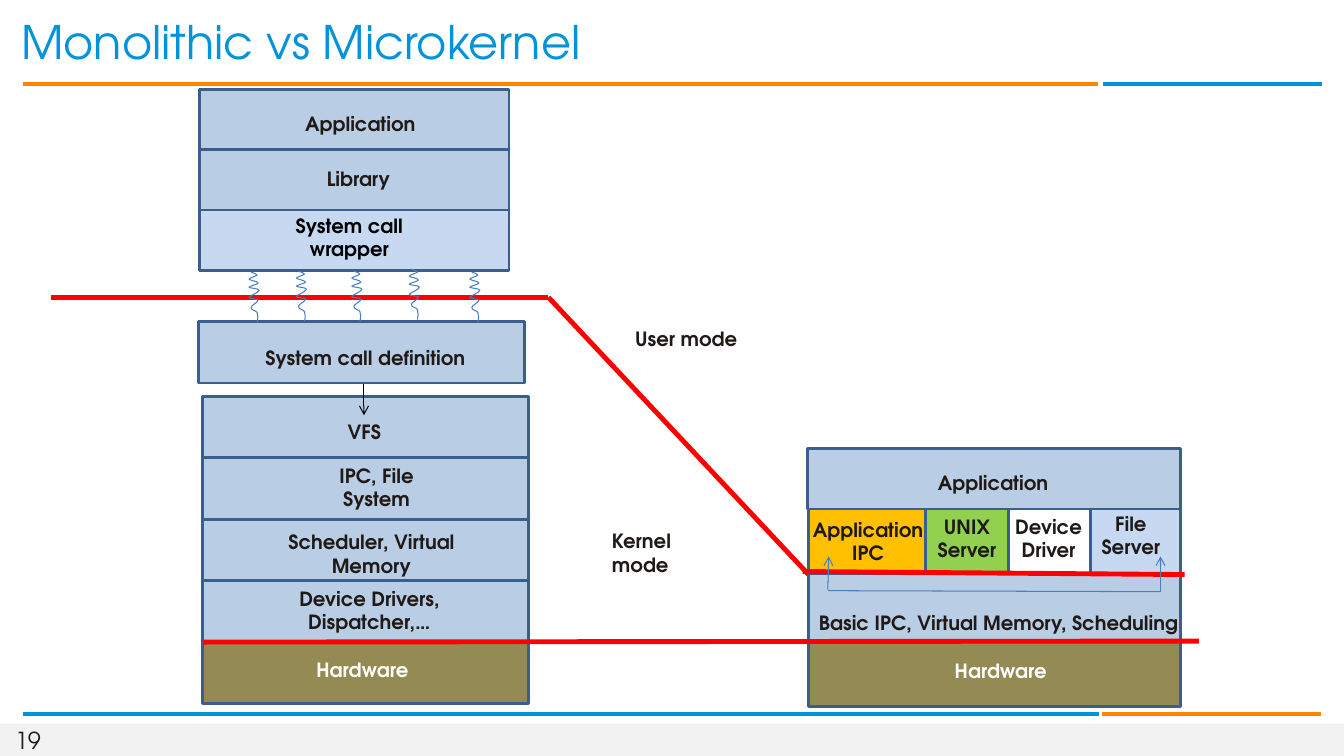
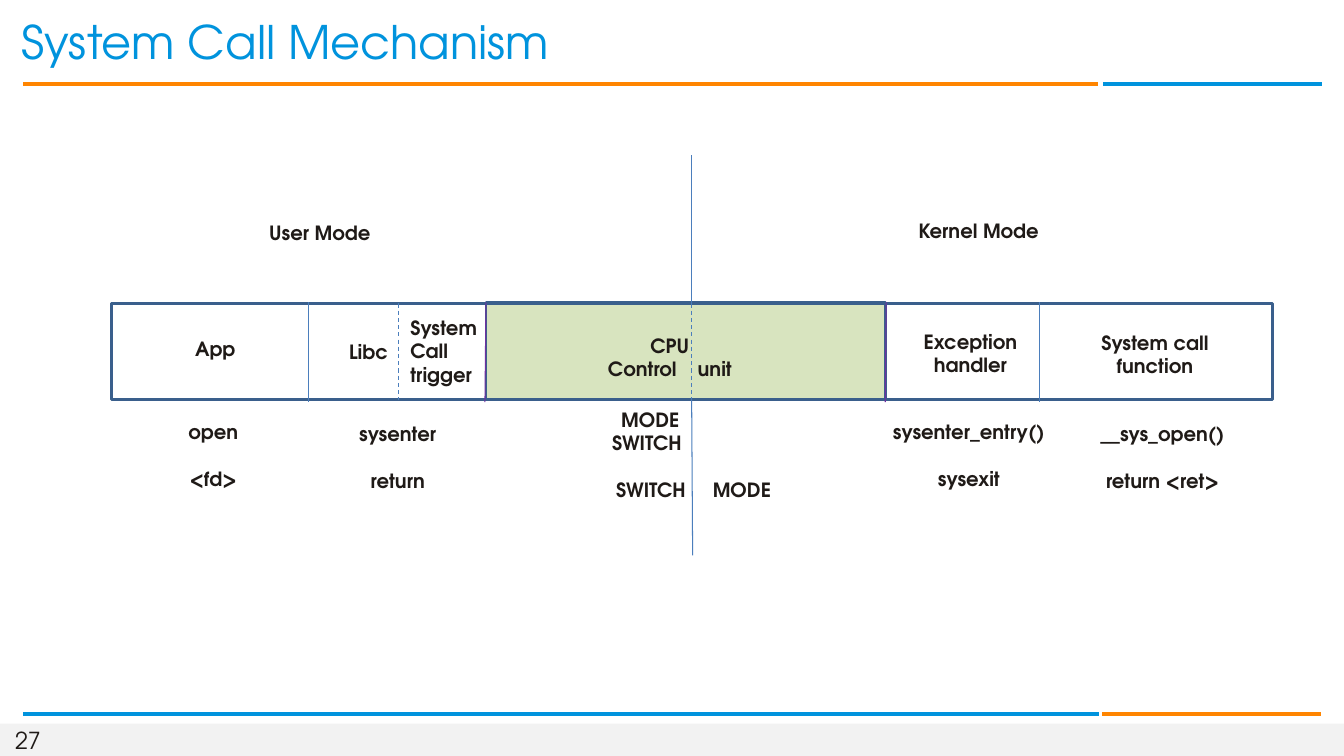
from lxml import etree
from pptx import Presentation
from pptx.dml.color import RGBColor
from pptx.enum.dml import MSO_LINE
from pptx.enum.shapes import MSO_CONNECTOR, MSO_SHAPE
from pptx.enum.text import MSO_ANCHOR, PP_ALIGN
from pptx.oxml.ns import qn
from pptx.util import Inches, Pt

RECT = MSO_SHAPE.RECTANGLE
STRAIGHT = MSO_CONNECTOR.STRAIGHT
DASH = MSO_LINE.DASH
MIDDLE = MSO_ANCHOR.MIDDLE
LEFT, CENTER = PP_ALIGN.LEFT, PP_ALIGN.CENTER
FONT = "TeX Gyre Adventor"
COLORS = {
    "title": "0093DD", "orange": "FF8500", "band": "F2F2F2",
    "ink": "1F1A17", "black": "000000", "white": "FFFFFF",
    "edge": "3A5F8C", "thin": "4B7EBC", "red": "FF0000", "purple": "7030A0",
    "blue": "B9CDE5", "pale": "C6D9F1", "earth": "948A54",
    "amber": "FFC000", "green": "92D050", "olive": "C3D69B",
}
LINE_GAP = 16.8  # one line of 14 pt text

# Cubic bends of one call wave, three points each, from its top left corner
WAVE_START = (0.02, 0)
WAVE = [
    (0.05, 0.01), (0.08, 0.02), (0.08, 0.03),
    (0.07, 0.04), (0, 0.06), (0, 0.07),
    (0, 0.08), (0.09, 0.09), (0.09, 0.11),
    (0.09, 0.12), (0, 0.14), (0, 0.15),
    (0, 0.16), (0.1, 0.16), (0.1, 0.18),
    (0.1, 0.2), (0, 0.24), (0, 0.25),
    (0, 0.27), (0.09, 0.26), (0.09, 0.28),
    (0.09, 0.3), (0.02, 0.33), (0.02, 0.35),
    (0.02, 0.38), (0.07, 0.38), (0.08, 0.4),
    (0.09, 0.43), (0.09, 0.46), (0.08, 0.5),
]


def rgb(name):
    return RGBColor.from_string(COLORS[name])


# Text
def write(frame, lines, size=14, color="ink", bold=True, align=CENTER, gap=0):
    frame.word_wrap = True
    frame.vertical_anchor = MIDDLE
    frame.text = "\n".join(lines)
    for i, para in enumerate(frame.paragraphs):
        para.alignment = align
        if gap and i:
            para.space_before = Pt(gap)
        for run in para.runs:
            run.font.name = FONT
            run.font.size = Pt(size)
            run.font.bold = bold
            run.font.color.rgb = rgb(color)


def inset(frame, left, top, right, bottom):
    frame.margin_left, frame.margin_top = Inches(left), Inches(top)
    frame.margin_right, frame.margin_bottom = Inches(right), Inches(bottom)


def label(slide, x, y, w, h, *lines, **style):
    box = slide.shapes.add_textbox(Inches(x), Inches(y), Inches(w), Inches(h))
    inset(box.text_frame, 0.07, 0.04, 0.07, 0.04)
    write(box.text_frame, lines, **style)
    return box


def split(box, stops):
    """Start each line at an indent, and its second word at a tab stop."""
    for para, (start, stop) in zip(box.text_frame.paragraphs, stops):
        props = para._p.get_or_add_pPr()
        props.set("marL", "0")
        props.set("indent", str(Inches(start)))
        tabs = etree.SubElement(props, qn("a:tabLst"))
        etree.SubElement(tabs, qn("a:tab"), pos=str(Inches(stop)), algn="l")


# Shapes and lines
def block(slide, x, y, w, h, fill, lines=(), shift=(0, 0), pad=0.1,
          edge="edge", color="ink"):
    """Box whose text sits off centre by shift."""
    shape = slide.shapes.add_shape(RECT, Inches(x), Inches(y), Inches(w), Inches(h))
    shape.shadow.inherit = False
    if fill:
        shape.fill.solid()
        shape.fill.fore_color.rgb = rgb(fill)
    else:
        shape.fill.background()
    if edge:
        shape.line.color.rgb = rgb(edge)
        shape.line.width = Pt(2)
    else:
        shape.line.fill.background()
    if lines:
        dx, dy = shift
        inset(shape.text_frame, pad + dx, max(0, 2 * dy),
              pad - dx, max(0, -2 * dy))
        write(shape.text_frame, lines, color=color)
    return shape


def stack(slide, x, y, w, h, rows):
    """Blocks of one size, one below the other."""
    for i, (fill, text, shift, pad, color) in enumerate(rows):
        block(slide, x, y + i * h, w, h, fill, [text], shift, pad, color=color)


def rule(slide, start, end, color="thin", width=0.75, dash=None, arrow=False):
    line = slide.shapes.add_connector(
        STRAIGHT, *(Inches(v) for v in (*start, *end)))
    line.line.color.rgb = rgb(color)
    line.line.width = Pt(width)
    if dash:
        line.line.dash_style = dash
    props = line._element.spPr
    if arrow:
        etree.SubElement(props.find(qn("a:ln")), qn("a:tailEnd"), type="arrow")
    etree.SubElement(props, qn("a:effectLst"))


def wave(slide, x, y):
    build = slide.shapes.build_freeform(
        Inches(x + WAVE_START[0]), Inches(y + WAVE_START[1]))
    build.add_line_segments(
        [(Inches(x + a), Inches(y + b)) for a, b in WAVE], close=False)
    shape = build.convert_to_shape()
    shape.shadow.inherit = False
    shape.fill.background()
    shape.line.color.rgb = rgb("thin")
    shape.line.width = Pt(0.75)
    # Turn every three straight segments into one cubic bend
    route = next(shape._element.iter(qn("a:path")))
    parts = route.findall(qn("a:lnTo"))
    for i in range(0, len(parts), 3):
        bend = etree.SubElement(route, qn("a:cubicBezTo"))
        for part in parts[i:i + 3]:
            bend.append(part[0])
            route.remove(part)


# Shared frame: bands, number and title
def frame(deck, title, number):
    slide = deck.slides.add_slide(deck.slide_layouts[6])
    block(slide, 0, 7.18, 13.33, 0.32, "band", edge=None)
    label(slide, 0.08, 7.2, 0.5, 0.28, str(number), size=16.7,
          bold=False, align=LEFT)
    for y, mid, gap, end, long, short in (
            (0.83, 10.89, 0.05, 13.11, "orange", "title"),
            (7.08, 10.9, 0.03, 13.1, "title", "orange")):
        rule(slide, (0.23, y), (mid, y), long, 3)
        rule(slide, (mid + gap, y), (end, y), short, 3)
    label(slide, 0.14, 0.12, 11.94, 0.58, title, size=33,
          color="title", bold=False, align=LEFT)
    return slide


def kernels(deck):
    slide = frame(deck, "Monolithic vs Microkernel", 19)
    rule(slide, (5.44, 2.95), (8.02, 5.7), "red", 3.5)
    label(slide, 6.23, 3.2, 1.3, 0.31, "User mode", align=LEFT)
    label(slide, 6, 5.21, 0.86, 0.55, "Kernel mode", align=LEFT)

    # Microkernel
    x, w, h = 8.02, 3.69, 0.66
    block(slide, x, 6.35, w, h, "earth", ["Hardware"], (0.06, -0.03), color="white")
    block(slide, x, 5.69, w, h, "blue", ["Basic IPC, Virtual Memory, Scheduling"],
          (0.04, 0.16), 0.05)
    rule(slide, (9.17, 5.03), (9.17, 5.69))
    rule(slide, (9.99, 5), (9.99, 5.67))
    servers = [
        (1.16, "amber", ["Application", "IPC"], (0.01, 0.01)),
        (0.82, "green", ["UNIX", "Server"], (0, -0.02)),
        (0.82, None, ["Device", "Driver"], (-0.01, -0.02)),
        (0.89, "pale", ["File", "Server"], (-0.05, -0.05)),
    ]
    left = x
    for width, fill, lines, shift in servers:
        block(slide, left, 5.03, width, h, fill, lines, shift, abs(shift[0]))
        left += width
    rule(slide, (7.96, 5.67), (11.75, 5.7), "red", 3.5)
    rule(slide, (8.21, 5.86), (11.51, 5.87))
    rule(slide, (8.21, 5.85), (8.22, 5.52), arrow=True)
    rule(slide, (11.51, 5.87), (11.51, 5.52), arrow=True)

    # Monolithic kernel
    stack(slide, 2.01, 3.93, 3.23, 0.61, [
        ("blue", "VFS", (-0.01, 0.05), 0.42, "ink"),
        ("blue", "IPC, File System", (0.11, -0.01), 0.92, "ink"),
        ("blue", "Scheduler, Virtual Memory", (0.06, 0.04), 0.42, "ink"),
        ("blue", "Device Drivers, Dispatcher,…", (0.04, -0.01), 0.42, "ink"),
        ("earth", "Hardware", (-0.03, -0.03), 0.42, "white"),
    ])
    rule(slide, (3.61, 3.69), (3.61, 4.12), "black", arrow=True)
    block(slide, 1.97, 3.19, 3.23, 0.61, "blue", ["System call definition"],
          (0.04, 0.05))
    stack(slide, 1.98, 0.89, 3.07, (2.68 - 0.89) / 3, [
        ("blue", "Application", (0.06, 0.04), 0.3, "ink"),
        ("blue", "Library", (0.04, -0.01), 0.3, "ink"),
        ("pale", "System call wrapper", (-0.05, -0.03), 0.64, "black"),
    ])

    # Mode borders and calls that cross them
    rule(slide, (0.51, 2.95), (5.44, 2.95), "red", 3.5)
    for left, top in ((2.47, 2.7), (2.94, 2.69), (3.49, 2.69),
                      (4.06, 2.67), (4.66, 2.7)):
        wave(slide, left, top)
    rule(slide, (2.01, 6.37), (11.89, 6.36), "red", 3.5)
    block(slide, 8.01, 4.45, 3.7, 0.6, "blue", ["Application"], (-0.01, 0.04))


def calls(deck):
    slide = frame(deck, "System Call Mechanism", 27)

    # Row of parts
    unit = block(slide, 4.82, 3, 3.96, 0.96, "olive")
    tint = unit._element.spPr.find(qn("a:solidFill"))[0]
    etree.SubElement(tint, qn("a:alpha"), val="64000")
    block(slide, 1.11, 3.01, 11.51, 0.95, None)
    for top, end, color in ((3.06, 3.06, "thin"), (4.82, 4.81, "purple"),
                            (8.79, 8.78, "purple"), (10.31, 10.31, "thin")):
        rule(slide, (top, 3), (end, 3.99), color)

    # Names
    names = [
        (1.33, 3.3, 1.61, 0.31, "App"), (2.85, 3.33, 1.61, 0.31, "Libc"),
        (8.82, 3.23, 1.61, 0.55, "Exception handler"),
        (10.65, 3.24, 1.61, 0.55, "System call function"),
    ]
    for name in names:
        label(slide, *name)
    label(slide, 2.6, 2.15, 1.17, 0.31, "User Mode", align=LEFT)
    label(slide, 9.04, 2.13, 1.55, 0.31, "Kernel Mode", align=LEFT)
    label(slide, 4, 3.09, 1, 0.78, "System", "Call", "trigger", align=LEFT)

    # Call above, return below
    steps = [
        (1.31, 4.13, 1.61, "open", "<fd>"),
        (3.14, 4.15, 1.61, "sysenter", "return"),
        (8.7, 4.13, 1.82, "sysenter_entry()", "sysexit"),
        (10.62, 4.15, 1.82, "__sys_open()", "return <ret>"),
    ]
    for x, y, w, call, back in steps:
        label(slide, x, y, w, 0.78, call, back, gap=LINE_GAP)

    # Words on both sides of the mode border
    core = label(slide, 5.85, 3.27, 1.61, 0.55, "CPU", "Control\tunit", align=LEFT)
    split(core, [(0.53, 1), (0.11, 1)])
    modes = label(slide, 6, 4.12, 1.82, 0.78, "MODE\tSWITCH", "SWITCH\tMODE",
                  align=LEFT, gap=LINE_GAP)
    split(modes, [(0.09, 0.88), (0.04, 1.05)])
    rule(slide, (6.86, 3.01), (6.86, 1.54))
    rule(slide, (6.86, 3.96), (6.87, 5.51))
    for x in (6.86, 3.95):
        rule(slide, (x, 3.01), (x, 3.97), dash=DASH)


def main():
    deck = Presentation()
    deck.slide_width, deck.slide_height = Inches(13.33), Inches(7.5)
    kernels(deck)
    calls(deck)
    deck.save("out.pptx")


if __name__ == "__main__":
    main()
